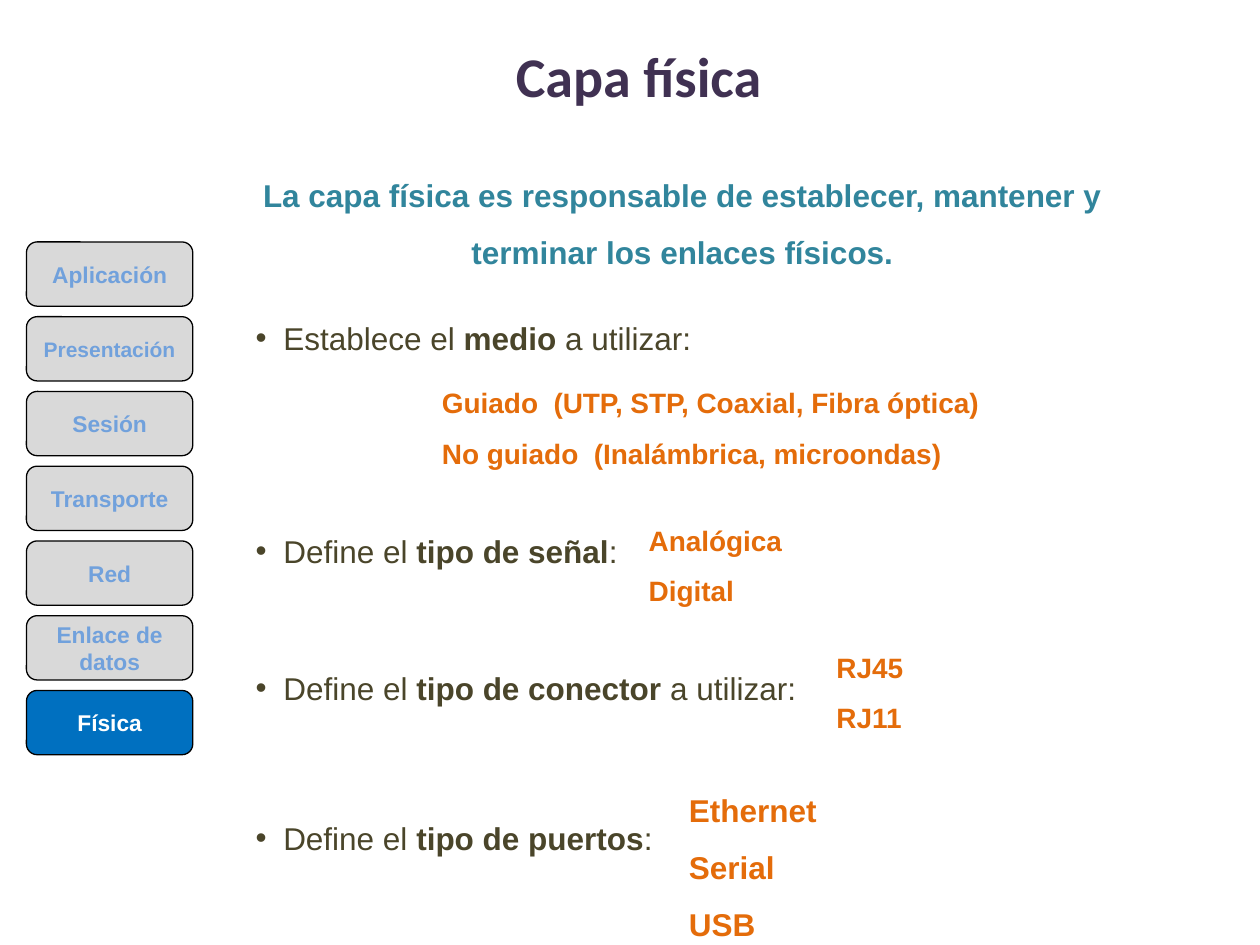
from dataclasses import dataclass

from lxml import etree
from pptx import Presentation
from pptx.dml.color import RGBColor as Rgb
from pptx.enum import shapes, text
from pptx.oxml import ns
from pptx.util import Inches, Pt


@dataclass(frozen=True)
class Theme:
    face: str = "Arial"
    head: str = "Calibri"
    title: str = "403152"
    lead: str = "31859C"
    body: str = "4A452A"
    item: str = "E46C0A"
    idle: str = "D9D9D9"
    faint: str = "71A1DC"
    live: str = "0070C0"
    white: str = "FFFFFF"
    edge: str = "000000"
    big: int = 32
    mid: int = 18
    small: int = 16
    label: int = 13
    tight: int = 12


T = Theme()
ALIGN = text.PP_ALIGN

LAYERS = ["Aplicación", "Presentación", "Sesión", "Transporte", "Red",
          "Enlace de datos", "Física"]

# top, width, (plain, bold, plain)
POINTS = [
    (2.33, 7.19, ("Establece el ", "medio ", "a utilizar:")),
    (4.02, 7.19, ("Define el ", "tipo de señal", ":")),
    (5.11, 7.19, ("Define el ", "tipo de conector ", "a utilizar:")),
    (6.3, 3.44, ("Define el ", "tipo de puertos", ":")),
]

# left, top, width, height, size, lines
ANSWERS = [
    (3.41, 2.88, 5.7, 0.91, T.small,
     ["Guiado  (UTP, STP, Coaxial, Fibra óptica)",
      "No guiado  (Inalámbrica, microondas)"]),
    (5.05, 3.97, 2.81, 0.91, T.small, ["Analógica", "Digital"]),
    (6.54, 4.98, 2.34, 0.91, T.small, ["RJ45", "RJ11"]),
    (5.37, 6.08, 1.33, 1.42, T.mid, ["Ethernet", "Serial", "USB"]),
]


def style(para, size, color, bold=None, face=T.face):
    font = para.font
    font.name, font.size, font.bold = face, Pt(size), bold
    font.color.rgb = Rgb.from_string(color)


def add_box(slide, left, top, width, height):
    box = slide.shapes.add_textbox(*map(Inches, (left, top, width, height)))
    box.text_frame.word_wrap = True
    return box.text_frame


def add_lines(slide, spot, lines, size, color, align):
    """Add bold lines at one and a half spacing."""
    frame = add_box(slide, *spot)
    frame.auto_size = text.MSO_AUTO_SIZE.SHAPE_TO_FIT_TEXT
    frame.text = "\n".join(lines)
    for para in frame.paragraphs:
        para.alignment, para.line_spacing = align, 1.5
        style(para, size, color, True)


def add_point(slide, top, width, parts):
    """Add a bulleted line whose middle part is bold."""
    frame = add_box(slide, 1.93, top, width, 0.5)
    frame.auto_size = text.MSO_AUTO_SIZE.SHAPE_TO_FIT_TEXT
    para = frame.paragraphs[0]
    para.alignment, para.line_spacing = ALIGN.JUSTIFY, 1.5
    props = para._p.get_or_add_pPr()
    props.set("marL", str(Inches(0.22)))
    props.set("indent", str(-Inches(0.22)))
    etree.SubElement(props, ns.qn("a:buFont"), typeface=T.face)
    etree.SubElement(props, ns.qn("a:buChar"), char="•")
    style(para, T.mid, T.body)
    for part, bold in zip(parts, (False, True, False)):
        run = para.add_run()
        run.text, run.font.bold = part, bold


def add_stack(slide, names, active):
    """Add the column of layers, evenly spaced, with one lit up."""
    group = slide.shapes.add_group_shape()
    first, last = 1.92, 5.48
    pitch = (last - first) / (len(names) - 1)
    for row, name in enumerate(names):
        lit = name == active
        spot = map(Inches, (0.21, first + row * pitch, 1.32, 0.51))
        tile = group.shapes.add_shape(
            shapes.MSO_SHAPE.ROUNDED_RECTANGLE, *spot)
        tile.shadow.inherit = False
        tile.fill.solid()
        tile.fill.fore_color.rgb = Rgb.from_string(T.live if lit else T.idle)
        tile.line.color.rgb = Rgb.from_string(T.edge)
        tile.line.width = Pt(0.75)
        frame = tile.text_frame
        frame.word_wrap = True
        frame.vertical_anchor = text.MSO_ANCHOR.MIDDLE
        frame.text = name
        para = frame.paragraphs[0]
        para.alignment = ALIGN.CENTER
        size = T.tight if name == "Presentación" else T.label
        style(para, size, T.white if lit else T.faint, True)


def add_title(slide, words):
    frame = add_box(slide, 0.17, -0.03, 9.8, 1.25)
    frame.vertical_anchor = text.MSO_ANCHOR.MIDDLE
    frame.text = words
    para = frame.paragraphs[0]
    para.alignment = ALIGN.CENTER
    style(para, T.big, T.title, True, T.head)


def main():
    deck = Presentation()
    deck.slide_width, deck.slide_height = Inches(10), Inches(7.5)
    slide = deck.slides.add_slide(deck.slide_layouts[6])
    add_stack(slide, LAYERS, "Física")
    add_lines(slide, (1.82, 1.2, 7.19, 1.01),
              ["La capa física es responsable de establecer, mantener y "
               "terminar los enlaces físicos."],
              T.mid, T.lead, ALIGN.CENTER)
    for point in POINTS:
        add_point(slide, *point)
    for *spot, size, lines in ANSWERS:
        add_lines(slide, spot, lines, size, T.item, ALIGN.JUSTIFY)
    add_title(slide, "Capa física")
    deck.save("out.pptx")


if __name__ == "__main__":
    main()
